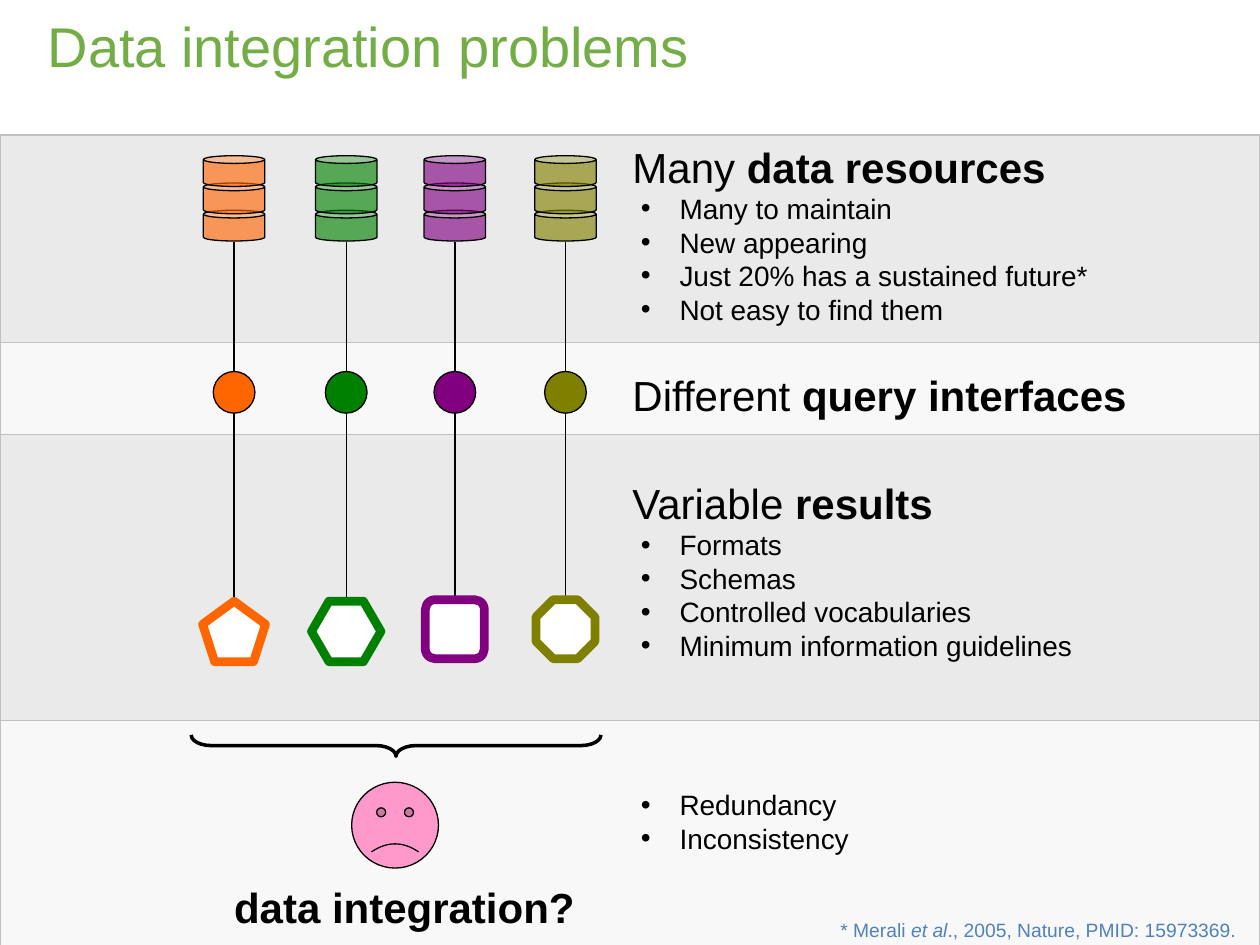
from dataclasses import dataclass

from lxml.etree import SubElement
from pptx import Presentation
from pptx.dml.color import RGBColor
from pptx.enum.shapes import MSO_CONNECTOR, MSO_SHAPE
from pptx.enum.text import MSO_ANCHOR
from pptx.oxml.ns import qn
from pptx.util import Cm, Pt


@dataclass(frozen=True)
class Theme:
    """Colours, font and type sizes of the slide."""
    font: str = "Arial"
    ink: str = "000000"
    title: str = "72AD46"
    note: str = "4F81BD"
    dark_band: str = "EAEAEA"
    light_band: str = "F8F8F8"
    border: str = "C0C0C0"
    paper: str = "FFFFFF"
    face: str = "FF99CC"
    title_size: int = 32
    head_size: int = 24
    bullet_size: int = 16
    note_size: int = 11


T = Theme()

BANDS = [
    (2.72, 6.91, T.dark_band),
    (6.91, 8.76, T.light_band),
    (8.76, 14.53, T.dark_band),
    (14.53, 19.13, T.light_band),
]

# centre, colour, result shape, width, top, height, adjustment
SOURCES = [
    (4.72, "FF6600", MSO_SHAPE.REGULAR_PENTAGON, 1.27, 12.12, 1.22, None),
    (6.98, "008000", MSO_SHAPE.HEXAGON, 1.4, 12.12, 1.22, 0.289),
    (9.17, "800080", MSO_SHAPE.ROUNDED_RECTANGLE, 1.19, 12.09, 1.19, 0.167),
    (11.4, "808000", MSO_SHAPE.OCTAGON, 1.19, 12.09, 1.19, 0.293),
]


def rgb(color):
    """Turn a hex string into a colour."""
    return RGBColor.from_string(color)


def add_shape(shapes, kind, box, fill=None, line=T.ink, weight=0.75, adj=None, alpha=None):
    """Add a preset shape with flat fill and outline."""
    sp = shapes.add_shape(kind, *map(Cm, box))
    sp.shadow.inherit = False
    if fill:
        sp.fill.solid()
        sp.fill.fore_color.rgb = rgb(fill)
    else:
        sp.fill.background()
    if alpha:
        clr = sp._element.spPr.find(qn("a:solidFill"))[0]
        SubElement(clr, qn("a:alpha")).set("val", str(alpha * 1000))
    sp.line.color.rgb = rgb(line)
    sp.line.width = Pt(weight)
    if adj is not None:
        sp.adjustments[0] = adj
    return sp


def add_line(shapes, x, top, bottom):
    """Add a thin vertical line."""
    cxn = shapes.add_connector(MSO_CONNECTOR.STRAIGHT, Cm(x), Cm(top), Cm(x), Cm(bottom))
    SubElement(cxn._element.spPr, qn("a:effectLst"))
    cxn.line.color.rgb = rgb(T.ink)
    cxn.line.width = Pt(0.75)


def add_runs(p, runs, size, color):
    """Add (text, format) runs to a paragraph."""
    for text, extra in runs:
        r = p.add_run()
        r.text = text
        fmt = {"name": T.font, "size": Pt(size), **extra}
        for key, value in fmt.items():
            setattr(r.font, key, value)
        r.font.color.rgb = rgb(color)


def add_bullet(p):
    """Give a paragraph a hanging bullet."""
    pPr = p._p.get_or_add_pPr()
    pPr.set("marL", str(Cm(0.95)))
    pPr.set("indent", str(Cm(-0.78)))
    SubElement(pPr, qn("a:buFont")).set("typeface", T.font)
    SubElement(pPr, qn("a:buChar")).set("char", "•")


def add_text(shapes, box, runs=(), bullets=(), size=T.head_size, color=T.ink,
             anchor=MSO_ANCHOR.TOP):
    """Add a text box with an optional heading and bullets."""
    tf = shapes.add_textbox(*map(Cm, box)).text_frame
    for key, value in {"word_wrap": True, "vertical_anchor": anchor}.items():
        setattr(tf, key, value)
    rows = [(runs, size, False)] if runs else []
    rows += [([(text, {})], T.bullet_size, True) for text in bullets]
    for i, (row, row_size, bulleted) in enumerate(rows):
        p = tf.add_paragraph() if i else tf.paragraphs[0]
        if bulleted:
            add_bullet(p)
        add_runs(p, row, row_size, color)


def add_database(shapes, x, color):
    """Add a group of three stacked translucent cans."""
    group = shapes.add_group_shape()
    for i in range(3):
        add_shape(group.shapes, MSO_SHAPE.CAN, (x - 0.62, 4.24 - 0.55 * i, 1.24, 0.62),
                  color, adj=0.25, alpha=63)


def add_source(shapes, x, color, kind, width, top, height, adj):
    """Add one column from database through interface to result."""
    add_database(shapes, x, color)
    add_line(shapes, x, 4.87, 12.4)
    add_shape(shapes, MSO_SHAPE.OVAL, (x - 0.42, 7.49, 0.84, 0.84), color)
    add_shape(shapes, kind, (x - width / 2, top, width, height), T.paper, color, 5, adj)


def main():
    """Build and save the slide."""
    prs = Presentation()
    prs.slide_width, prs.slide_height = Cm(25.4), Cm(19.05)
    shapes = prs.slides.add_slide(prs.slide_layouts[6]).shapes
    bold, italic = {"bold": True}, {"italic": True}

    for top, bottom, fill in BANDS:
        add_shape(shapes, MSO_SHAPE.RECTANGLE, (0, top, 25.4, bottom - top), fill, T.border)
    add_text(shapes, (0.71, 0.1, 22.86, 1.63), [("Data integration problems", {})],
             size=T.title_size, color=T.title, anchor=MSO_ANCHOR.MIDDLE)
    for source in SOURCES:
        add_source(shapes, *source)

    add_text(shapes, (12.5, 2.72, 12.9, 4.01), [("Many ", {}), ("data resources", bold)],
             ["Many to maintain", "New appearing",
              "Just 20% has a sustained future*", "Not easy to find them"])
    add_text(shapes, (12.5, 7.32, 11.5, 1.27), [("Different ", {}), ("query interfaces", bold)])
    add_text(shapes, (12.5, 9.5, 11.5, 4.01), [("Variable ", {}), ("results", bold)],
             ["Formats", "Schemas", "Controlled vocabularies",
              "Minimum information guidelines"])
    add_text(shapes, (12.5, 15.76, 6, 1.65), bullets=["Redundancy", "Inconsistency"])

    brace = add_shape(shapes, MSO_SHAPE.LEFT_BRACE, (7.77, 10.9, 0.43, 8.26),
                      weight=2, adj=0.937)
    brace.rotation = 270
    add_shape(shapes, MSO_SHAPE.SMILEY_FACE, (7.09, 15.77, 1.75, 1.73), T.face, adj=-0.047)
    add_text(shapes, (4.47, 17.65, 7.9, 1.27), [("data integration?", bold)])
    add_text(shapes, (16.69, 18.39, 8.71, 0.74),
             [("* Merali ", {}), ("et al", italic), ("., 2005, Nature, PMID: 15973369.", {})],
             size=T.note_size, color=T.note)
    prs.save("out.pptx")


if __name__ == "__main__":
    main()
